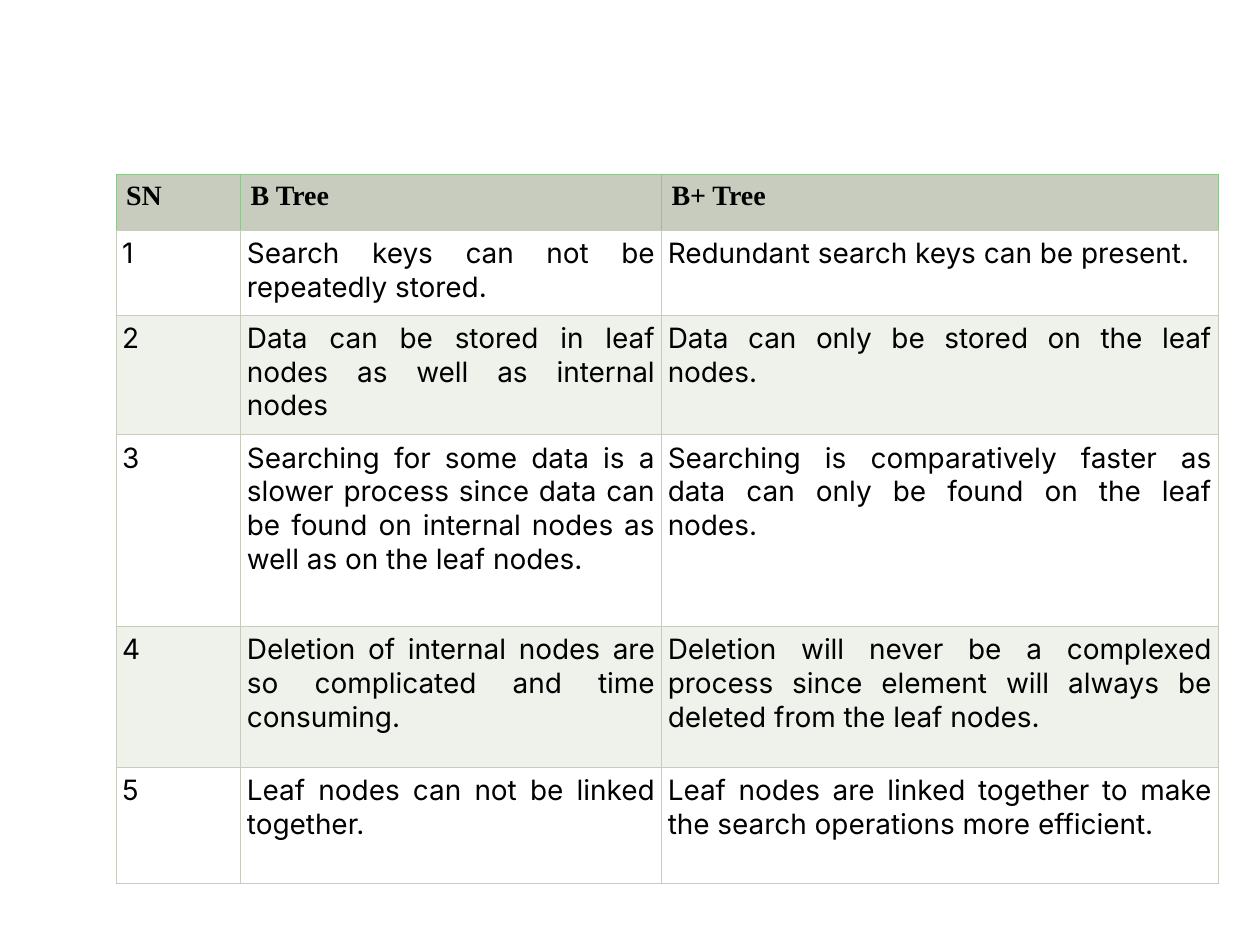
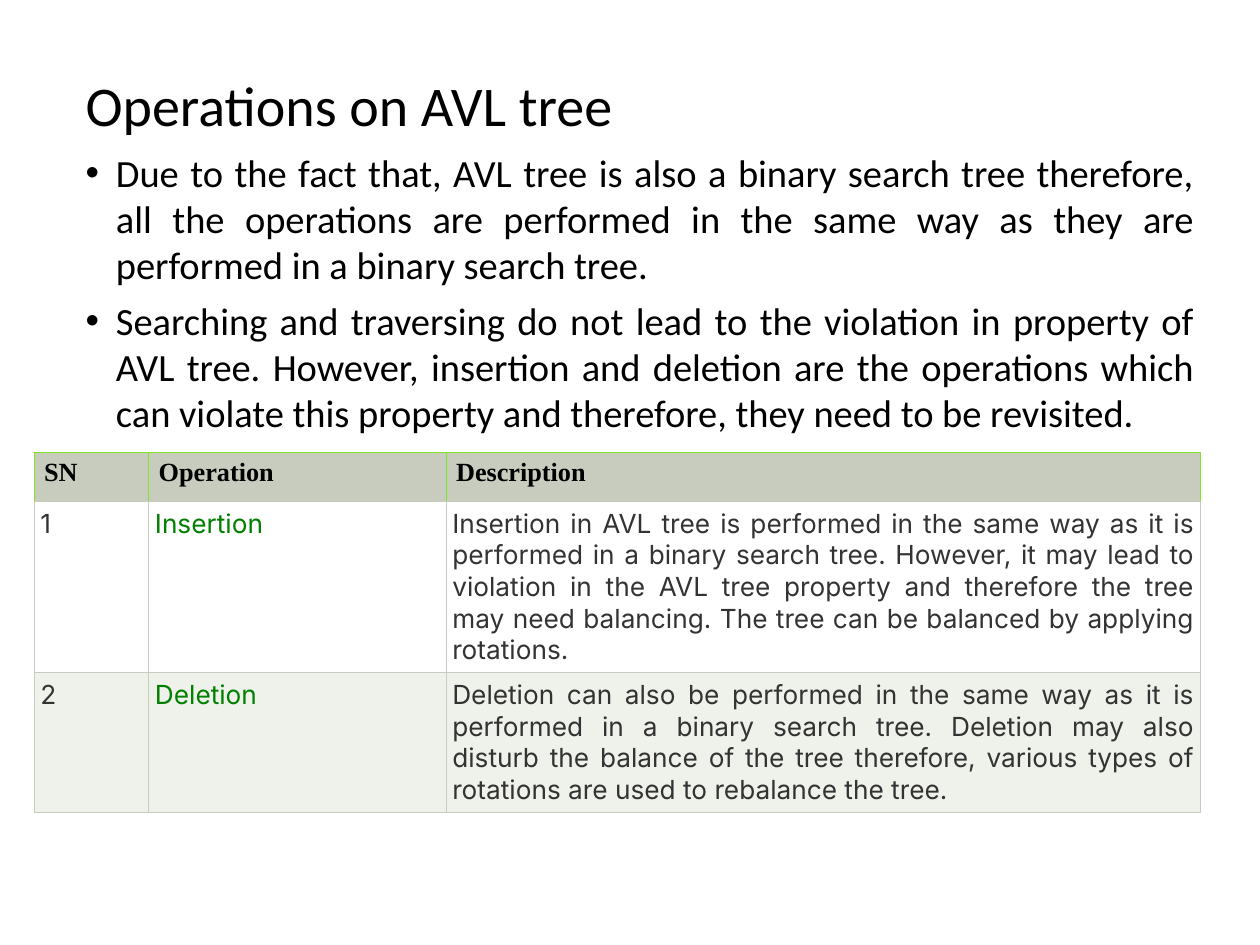
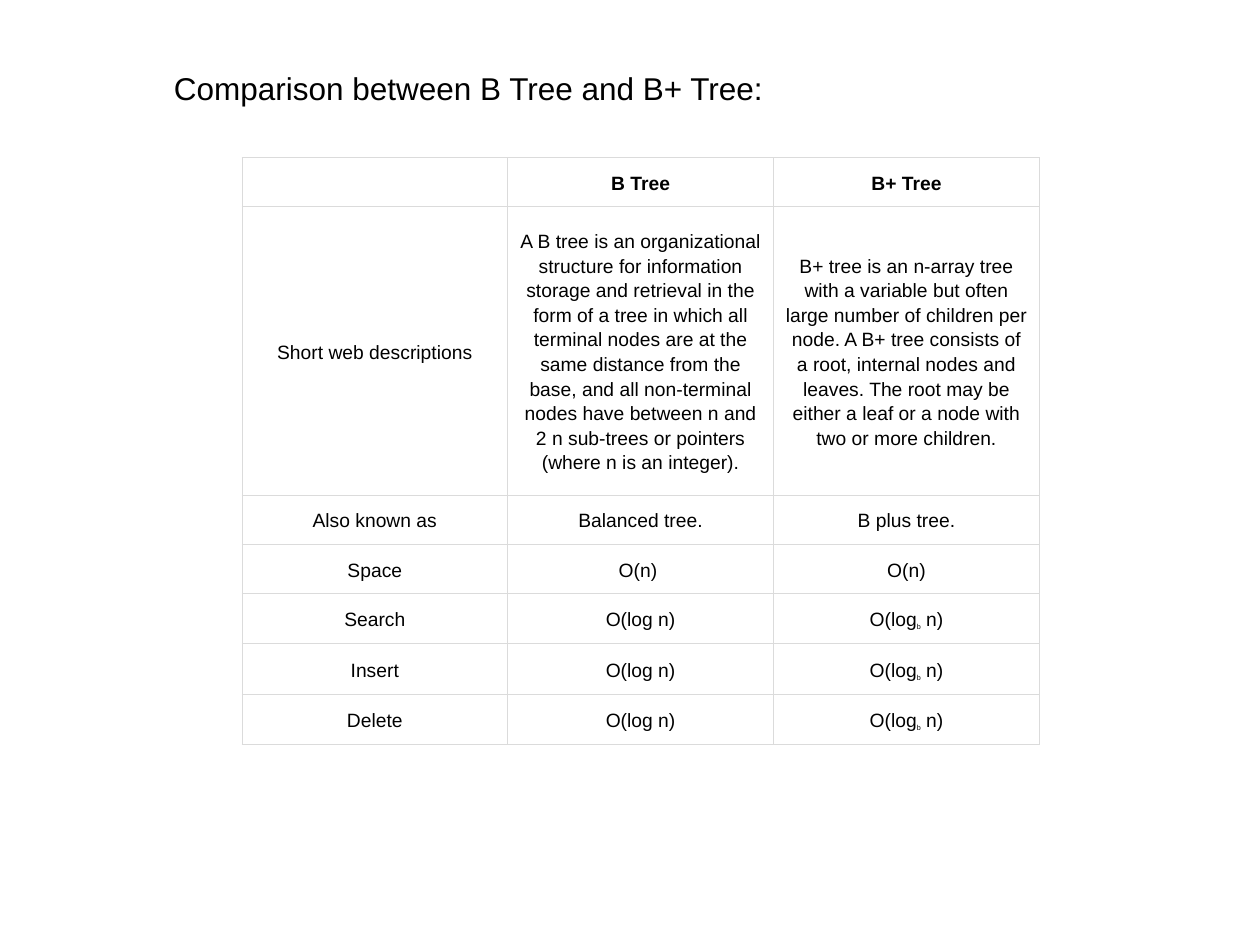
from lxml import etree
from pptx import Presentation
from pptx.dml.color import RGBColor
from pptx.enum.text import MSO_ANCHOR, MSO_AUTO_SIZE, PP_ALIGN
from pptx.oxml.ns import qn
from pptx.util import Inches, Pt

LEFT, CENTER, JUSTIFY = PP_ALIGN.LEFT, PP_ALIGN.CENTER, PP_ALIGN.JUSTIFY
TOP, MIDDLE = MSO_ANCHOR.TOP, MSO_ANCHOR.MIDDLE
NO_FIT = MSO_AUTO_SIZE.NONE
TITLE_AND_BODY, TITLE_ONLY, BLANK = 1, 5, 6

BLACK, WHITE, GREY, GREEN = "000000", "FFFFFF", "333333", "008000"
SAGE, PALE_SAGE, SILVER = "C7CCBE", "EFF1EB", "DBDBDB"

DIFFERENCES = [
    ("SN", "B Tree", "B+ Tree"),
    ("1", "Search keys can not be repeatedly stored.",
     "Redundant search keys can be present."),
    ("2", "Data can be stored in leaf nodes as well as internal nodes",
     "Data can only be stored on the leaf nodes."),
    ("3", "Searching for some data is a slower process since data can be found "
     "on internal nodes as well as on the leaf nodes.",
     "Searching is comparatively faster as data can only be found on the leaf nodes."),
    ("4", "Deletion of internal nodes are so complicated and time consuming.",
     "Deletion will never be a complexed process since element will always be "
     "deleted from the leaf nodes."),
    ("5", "Leaf nodes can not be linked together.",
     "Leaf nodes are linked together to make the search operations more efficient."),
]

AVL_TITLE = "Operations on AVL tree"
AVL_POINTS = [
    "Due to the fact that, AVL tree is also a binary search tree therefore, all the "
    "operations are performed in the same way as they are performed in a binary "
    "search tree.",
    "Searching and traversing do not lead to the violation in property of AVL tree. "
    "However, insertion and deletion are the operations which can violate this "
    "property and therefore, they need to be revisited.",
]
AVL_OPERATIONS = [
    ("SN", "Operation", "Description"),
    ("1", "Insertion",
     "Insertion in AVL tree is performed in the same way as it is performed in a "
     "binary search tree. However, it may lead to violation in the AVL tree property "
     "and therefore the tree may need balancing. The tree can be balanced by applying "
     "rotations."),
    ("2", "Deletion",
     "Deletion can also be performed in the same way as it is performed in a binary "
     "search tree. Deletion may also disturb the balance of the tree therefore, "
     "various types of rotations are used to rebalance the tree."),
]

COMPARISON_TITLE = "Comparison between B Tree and B+ Tree:"
LOG_B = ("O(log", "b", " n)")  # the middle part is a subscript
COMPARISON = [
    ("", "B Tree", "B+ Tree"),
    ("Short web descriptions",
     "A B tree is an organizational structure for information storage and retrieval "
     "in the form of a tree in which all terminal nodes are at the same distance from "
     "the base, and all non-terminal nodes have between n and 2 n sub-trees or "
     "pointers (where n is an integer).",
     "B+ tree is an n-array tree with a variable but often large number of children "
     "per node. A B+ tree consists of a root, internal nodes and leaves. The root may "
     "be either a leaf or a node with two or more children."),
    ("Also known as", "Balanced tree.", "B plus tree."),
    ("Space", "O(n) ", "O(n)"),
    ("Search", "O(log n)", LOG_B),
    ("Insert", "O(log n)", LOG_B),
    ("Delete", "O(log n)", LOG_B),
]


def rgb(value):
    return RGBColor.from_string(value)


def write(p, text, size, font, color=BLACK, bold=False, align=LEFT,
          before=0, spacing=1.0):
    """Fill a paragraph; a tuple gives runs, every second one a subscript."""
    p.alignment = align
    p.space_before = Pt(before)
    p.line_spacing = spacing
    if not text:
        etree.SubElement(p._p, qn("a:endParaRPr"), sz=str(size * 100))
        return
    for i, part in enumerate((text,) if isinstance(text, str) else text):
        r = p.add_run()
        r.text = part
        r.font.size, r.font.name, r.font.bold = Pt(size), font, bold
        r.font.color.rgb = rgb(color)
        if i % 2:
            r.font.size = Pt(7)
            r.font._element.set("baseline", "-25000")


def place(sp, left, top, width, height, wrap=True):
    """Move a text placeholder and return its text frame."""
    sp.left, sp.top = Inches(left), Inches(top)
    sp.width, sp.height = Inches(width), Inches(height)
    tf = sp.text_frame
    tf.auto_size, tf.word_wrap, tf.vertical_anchor = NO_FIT, wrap, TOP
    return tf


def set_borders(cell, width, colors):
    """Draw the left, right, top and bottom borders in the given colours."""
    tcPr = cell._tc.get_or_add_tcPr()
    for i, (side, color) in enumerate(zip("LRTB", colors)):
        ln = etree.Element(qn(f"a:ln{side}"), w=str(Pt(width)))
        fill = etree.SubElement(ln, qn("a:solidFill"))
        etree.SubElement(fill, qn("a:srgbClr"), val=color)
        tcPr.insert(i, ln)


def add_grid(s, rows, left, top, widths, heights, style):
    """Add a table; style(row, col) gives fill, borders, margin, anchor, text format."""
    shape = s.shapes.add_table(len(rows), len(widths), Inches(left), Inches(top),
                               Inches(sum(widths)), Inches(sum(heights)))
    table = shape.table
    table.first_row = table.horz_banding = False
    for column, width in zip(table.columns, widths):
        column.width = Inches(width)
    for row, height in zip(table.rows, heights):
        row.height = Inches(height)
    for i, row in enumerate(rows):
        for j, text in enumerate(row):
            fill, borders, margin, anchor, text_format = style(i, j)
            cell = table.cell(i, j)
            cell.fill.solid()
            cell.fill.fore_color.rgb = rgb(fill)
            set_borders(cell, *borders)
            cell.margin_left = cell.margin_right = Inches(margin)
            cell.margin_top = cell.margin_bottom = Inches(0.05)
            cell.vertical_anchor = anchor
            write(cell.text_frame.paragraphs[0], text, **text_format)


def sage_style(size, header_line, column_colors):
    """Banded look with a sage header row."""
    def style(i, j):
        if i == 0:
            return (SAGE, (0.34, [header_line] * 3 + [SAGE]), 0.08, TOP,
                    dict(size=size, font="Times New Roman", bold=True))
        return (WHITE if i % 2 else PALE_SAGE, (0.34, [SAGE] * 4), 0.05, TOP,
                dict(size=size, font="Inter", color=column_colors[j], align=JUSTIFY))
    return style


def plain_style(i, j):
    return (WHITE, (0.45, [SILVER] * 4), 0.09, MIDDLE,
            dict(size=11, font="Arial", bold=i == 0, align=CENTER, spacing=1.15))


def build_differences(s):
    add_grid(s, DIFFERENCES, 0.92, 1.38, [0.99, 3.34, 4.42],
             [0.45, 0.67, 0.95, 1.52, 1.12, 0.92],
             sage_style(16, "90C68E", [BLACK] * 3))


def build_avl_operations(s):
    tf = place(s.shapes.title, 0.58, 0.51, 9, 0.62)
    write(tf.paragraphs[0], AVL_TITLE, 32, "Calibri")
    tf = place(s.placeholders[1], 0.58, 1.13, 9, 2.4)
    for i, point in enumerate(AVL_POINTS):
        p = tf.add_paragraph() if i else tf.paragraphs[0]
        pPr = p._p.get_or_add_pPr()
        pPr.set("marL", str(Inches(0.24)))
        pPr.set("indent", str(-Inches(0.24)))
        write(p, point, 22, "Calibri", align=JUSTIFY, before=5.5 if i else 0)
    add_grid(s, AVL_OPERATIONS, 0.27, 3.59, [0.91, 2.36, 5.99], [0.39, 1.35, 1.1],
             sage_style(15, "80E428", [GREY, GREEN, GREY]))


def build_comparison(s):
    tf = place(s.shapes.title, 1.28, 0.5, 4.9, 0.4, wrap=False)
    write(tf.paragraphs[0], COMPARISON_TITLE, 18, "Arial")
    add_grid(s, COMPARISON, 1.92, 1.25, [2.11] * 3,
             [0.39, 2.29, 0.39, 0.39] + [0.4] * 3, plain_style)


def main():
    prs = Presentation()
    prs.slide_width, prs.slide_height = Inches(10), Inches(7.5)
    for layout, build in [(BLANK, build_differences),
                          (TITLE_AND_BODY, build_avl_operations),
                          (TITLE_ONLY, build_comparison)]:
        build(prs.slides.add_slide(prs.slide_layouts[layout]))
    prs.save("out.pptx")


if __name__ == "__main__":
    main()
